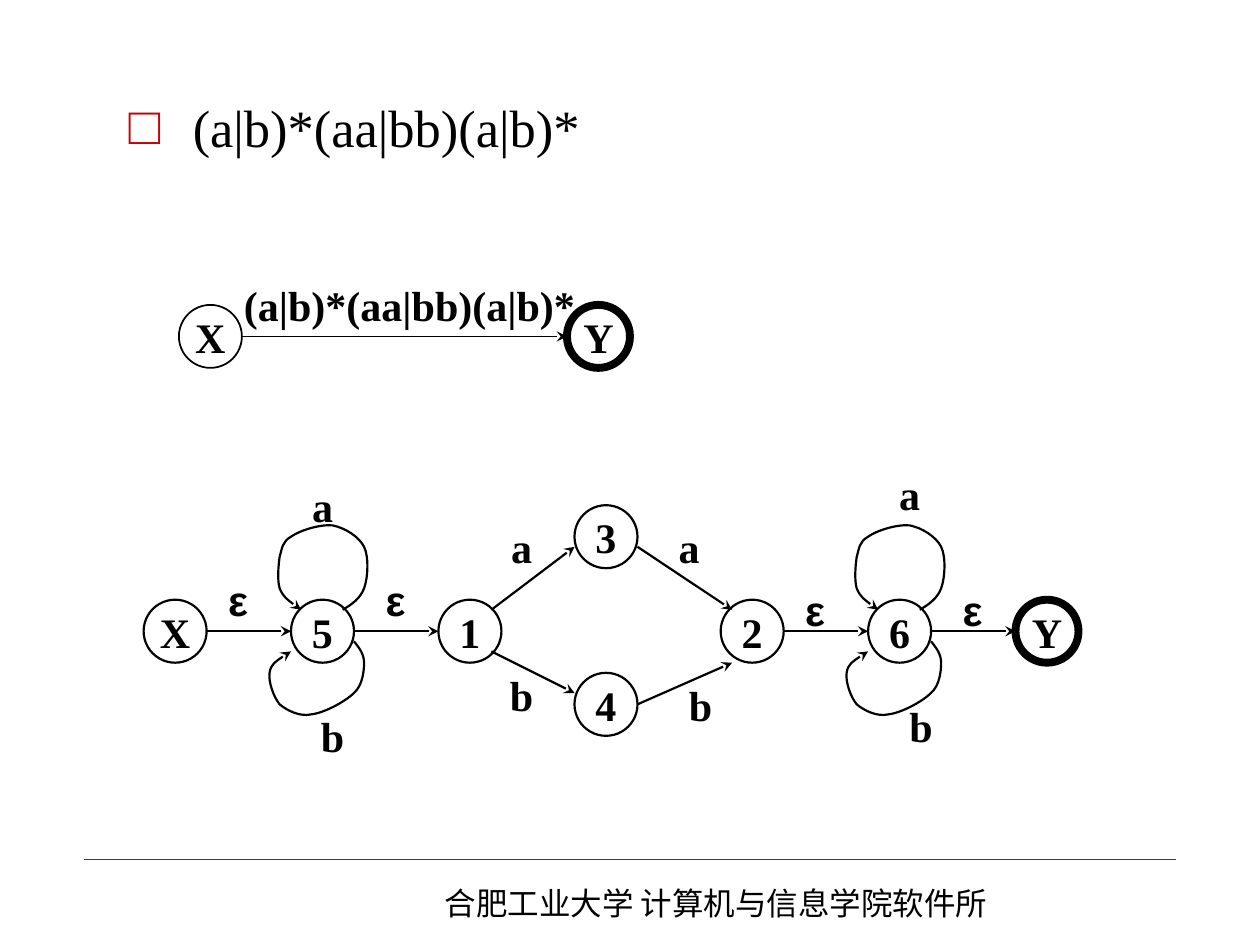
import pptx
import pptx.util
import pptx.dml.color
import pptx.enum.shapes
import pptx.enum.text
import pptx.oxml
import pptx.oxml.ns

LATIN, SYMBOL, CHINESE = "Times New Roman", "Arial", "Noto Sans CJK SC"
BLACK, RED = "000000", "CC0000"
EXPRESSION = "(a|b)*(aa|bb)(a|b)*"
FOOTER = "合肥工业大学 计算机与信息学院软件所"

# Geometry in inches: states sit on a row with one fixed step
RADIUS = 0.25
STEP = 1.17
ROW, UPPER, LOWER = 5.01, 4.26, 5.59
LEFT, MIDDLE, RIGHT = 1.39, 4.81, 5.97

# Each automaton: states {name: centre}, edges, line width
FIRST = {"X": (1.67, 2.67), "Y": (4.75, 2.67)}
SECOND = {
    "X": (LEFT, ROW), "5": (LEFT + STEP, ROW), "1": (LEFT + 2 * STEP, ROW),
    "3": (MIDDLE, UPPER), "4": (MIDDLE, LOWER),
    "2": (RIGHT, ROW), "6": (RIGHT + STEP, ROW), "Y": (RIGHT + 2 * STEP, ROW),
}
# Edge: from state, to state, offsets of both ends from the state centres
OUT, IN = (RADIUS, 0), (-RADIUS, 0)
FIRST_EDGES = [("X", "Y", OUT, IN)]
SECOND_EDGES = [(start, end, OUT, IN) for start, end in ("X5", "51", "26", "6Y")] + [
    ("1", "3", (0.17, -0.17), (-RADIUS, 0.08)),
    ("1", "4", (0.17, 0.16), (-RADIUS, -0.09)),
    ("3", "2", (RADIUS, 0.08), (-0.16, -0.17)),
    ("4", "2", OUT, (-0.16, 0.25)),
]
AUTOMATA = [(FIRST, FIRST_EDGES, 1), (SECOND, SECOND_EDGES, 1.25)]

# Self loops: start point, then three Bézier points per curve, from the state centre
LOOPS = [
    [(0.16, -0.17),
     (0.23, -0.21), (0.30, -0.26), (0.33, -0.34),
     (0.36, -0.42), (0.37, -0.59), (0.33, -0.67),
     (0.29, -0.75), (0.18, -0.82), (0.08, -0.84),
     (-0.02, -0.85), (-0.18, -0.80), (-0.25, -0.75),
     (-0.32, -0.71), (-0.32, -0.66), (-0.34, -0.59),
     (-0.35, -0.52), (-0.36, -0.41), (-0.34, -0.34),
     (-0.31, -0.27), (-0.24, -0.22), (-0.17, -0.17)],
    [(0.25, 0.08),
     (0.29, 0.13), (0.33, 0.18), (0.33, 0.25),
     (0.33, 0.31), (0.32, 0.43), (0.25, 0.49),
     (0.18, 0.56), (0.01, 0.65), (-0.09, 0.66),
     (-0.18, 0.68), (-0.28, 0.63), (-0.34, 0.58),
     (-0.39, 0.52), (-0.43, 0.40), (-0.42, 0.33),
     (-0.41, 0.26), (-0.33, 0.21), (-0.25, 0.16)],
]

# Edge labels: text, centre
LABELS = [
    (EXPRESSION, 3.25, 2.42),
    ("ε", 1.89, 4.76), ("ε", 3.14, 4.76), ("ε", 6.47, 4.84), ("ε", 7.72, 4.84),
    ("a", 2.56, 4.01), ("b", 2.64, 5.84), ("a", 7.22, 3.92), ("b", 7.31, 5.76),
    ("a", 4.14, 4.34), ("b", 4.14, 5.51), ("a", 5.47, 4.34), ("b", 5.56, 5.59),
]

inch = pptx.util.Inches
qn = pptx.oxml.ns.qn


def colour(value):
    return pptx.dml.color.RGBColor.from_string(value)


def element(tag, **attributes):
    node = pptx.oxml.parse_xml(f"<{tag} {pptx.oxml.ns.nsdecls('a')}/>")
    for name, value in attributes.items():
        node.set(name, value)
    return node


def write(shape, text, size=24, font=LATIN, bold=True, align="CENTER", anchor="MIDDLE",
          wrap=False, bullet=None):
    frame = shape.text_frame
    frame.word_wrap = wrap
    frame.auto_size = pptx.enum.text.MSO_AUTO_SIZE.NONE
    frame.vertical_anchor = pptx.enum.text.MSO_ANCHOR[anchor]
    para = frame.paragraphs[0]
    para.alignment = pptx.enum.text.PP_ALIGN[align]
    para.space_before = pptx.util.Pt(0)
    if bullet:
        properties = para._p.get_or_add_pPr()
        properties.set("marL", str(inch(0.51)))
        properties.set("indent", str(inch(-0.51)))
        bullet_colour = element("a:buClr")
        bullet_colour.append(element("a:srgbClr", val=RED))
        properties.extend([bullet_colour, element("a:buChar", char=bullet)])
    span = para.add_run()
    span.text = text
    span.font.size = pptx.util.Pt(size)
    span.font.name = font
    span.font.bold = bold
    span.font.color.rgb = colour(BLACK)
    span._r.get_or_add_rPr().append(element("a:ea", typeface=font))


def outline(shape, width, line_colour=BLACK, arrow=False):
    shape.line.color.rgb = colour(line_colour)
    shape.line.width = pptx.util.Pt(width)
    properties = shape._element.spPr
    if arrow:
        properties.find(qn("a:ln")).append(element("a:tailEnd", type="stealth"))
    if properties.find(qn("a:effectLst")) is None:
        properties.append(element("a:effectLst"))


def add_line(slide, start, end, width, **style):
    line = slide.shapes.add_connector(
        pptx.enum.shapes.MSO_CONNECTOR.STRAIGHT, *map(inch, (*start, *end)))
    outline(line, width, **style)


def add_text(slide, left, top, width, height, text, **style):
    box = slide.shapes.add_textbox(*map(inch, (left, top, width, height)))
    write(box, text, **style)


def shifted(centre, offset):
    return centre[0] + offset[0], centre[1] + offset[1]


def add_state(slide, name, centre, width):
    left, top = shifted(centre, (-RADIUS, -RADIUS))
    state = slide.shapes.add_shape(
        pptx.enum.shapes.MSO_SHAPE.OVAL, *map(inch, (left, top, 2 * RADIUS, 2 * RADIUS)))
    state.fill.background()
    outline(state, width)
    write(state, name)


def add_loop(slide, centre, offsets, width):
    points = [tuple(map(inch, shifted(centre, offset))) for offset in offsets]
    builder = slide.shapes.build_freeform(*points[0], scale=1.0)
    builder.add_line_segments(points[1:], close=False)
    loop = builder.convert_to_shape()
    loop.fill.background()
    outline(loop, width, arrow=True)
    # Join every three segments into one cubic curve
    segments = list(loop._element.iter(qn("a:lnTo")))
    for index in range(0, len(segments), 3):
        curve = element("a:cubicBezTo")
        segments[index].addprevious(curve)
        for segment in segments[index:index + 3]:
            curve.append(segment[0])
            segment.getparent().remove(segment)


def main():
    deck = pptx.Presentation()
    deck.slide_width, deck.slide_height = inch(10), inch(7.5)
    slide = deck.slides.add_slide(deck.slide_layouts[1])

    # Footer
    add_line(slide, (0.67, 6.82), (9.33, 6.82), 0.25, line_colour=RED)
    add_text(slide, 3.43, 6.97, 4.72, 0.4, FOOTER, size=18, font=CHINESE, bold=False,
             align="LEFT", anchor="TOP", wrap=True)

    # Regular expression in the body placeholder
    title, body = slide.placeholders
    title._element.getparent().remove(title._element)
    body.left, body.top, body.width, body.height = map(inch, (0.92, 0.67, 8.5, 0.67))
    write(body, EXPRESSION, size=30, bold=False, align="LEFT", wrap=True, bullet="□")

    # States and edges; the accepting state Y has a heavy ring
    for states, edges, width in AUTOMATA:
        for name, centre in states.items():
            add_state(slide, name, centre, 4.5 if name == "Y" else width)
        for start, end, leave, enter in edges:
            add_line(slide, shifted(states[start], leave), shifted(states[end], enter),
                     width, arrow=True)

    # Self loops on both repeating states
    for name in "56":
        for offsets in LOOPS:
            add_loop(slide, SECOND[name], offsets, 1.25)

    # Edge labels
    for text, x, y in LABELS:
        width = 2.33 if text == EXPRESSION else 0.5
        add_text(slide, x - width / 2, y - 0.25, width, 0.5, text,
                 font=SYMBOL if text == "ε" else LATIN)

    deck.save("out.pptx")


if __name__ == "__main__":
    main()
